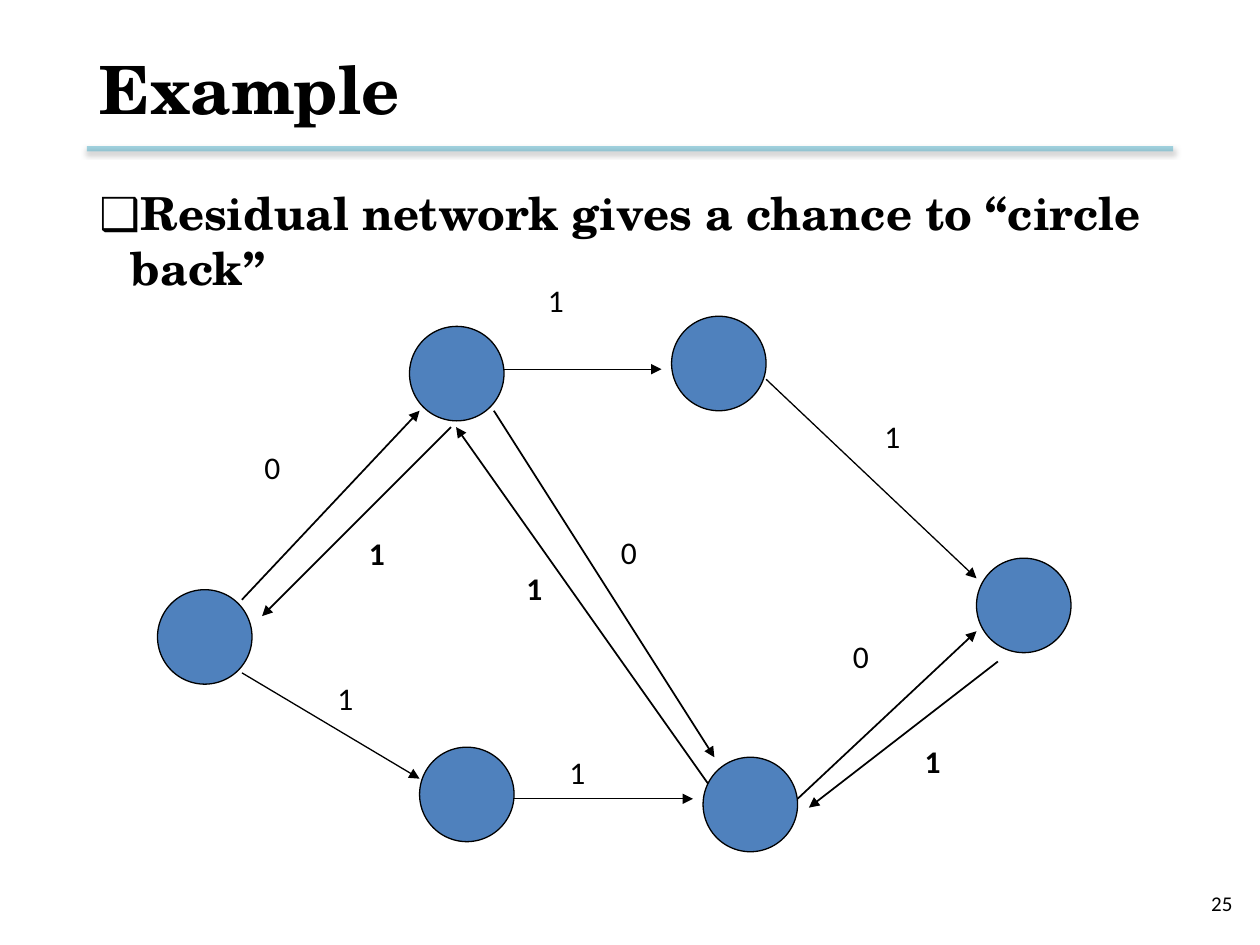
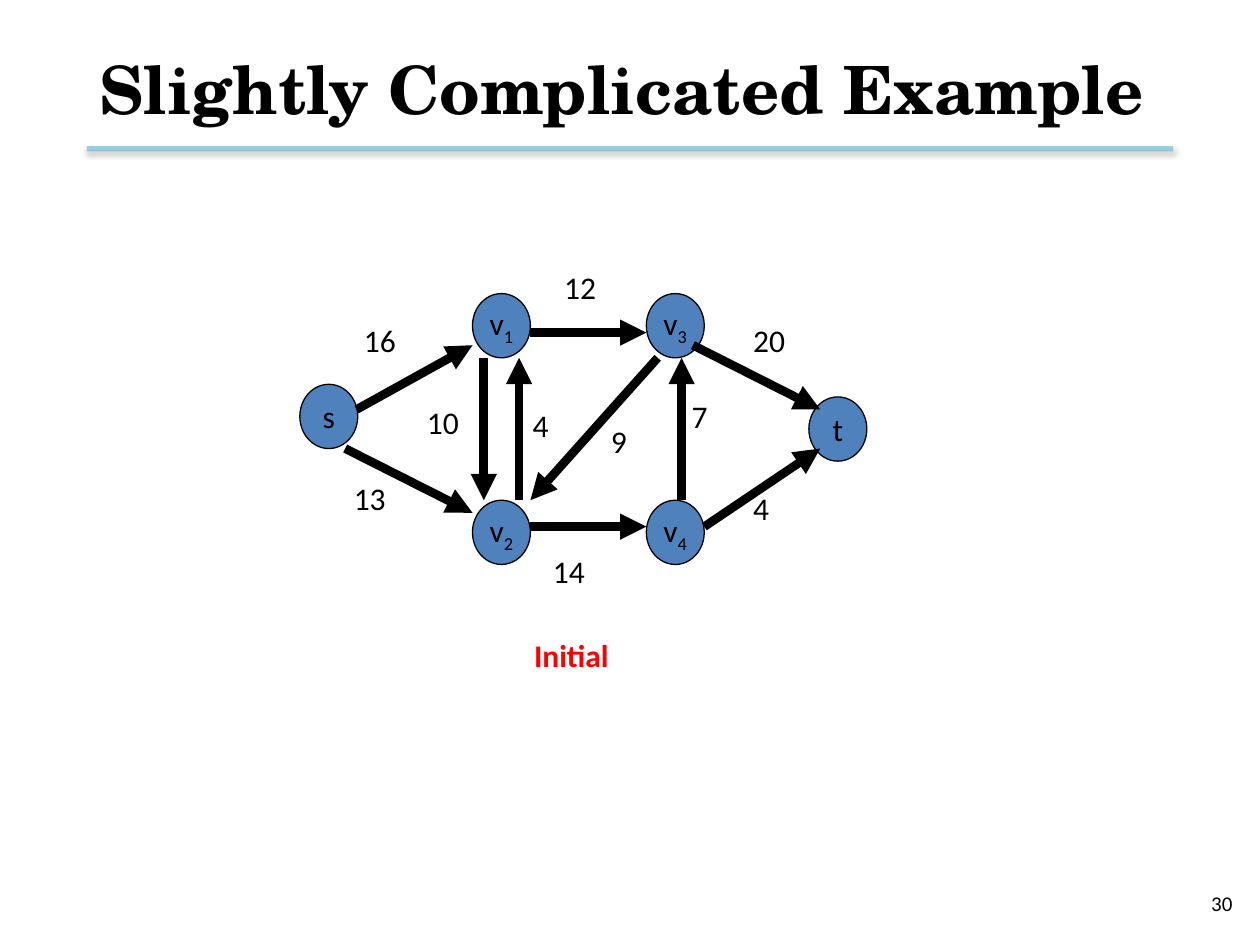
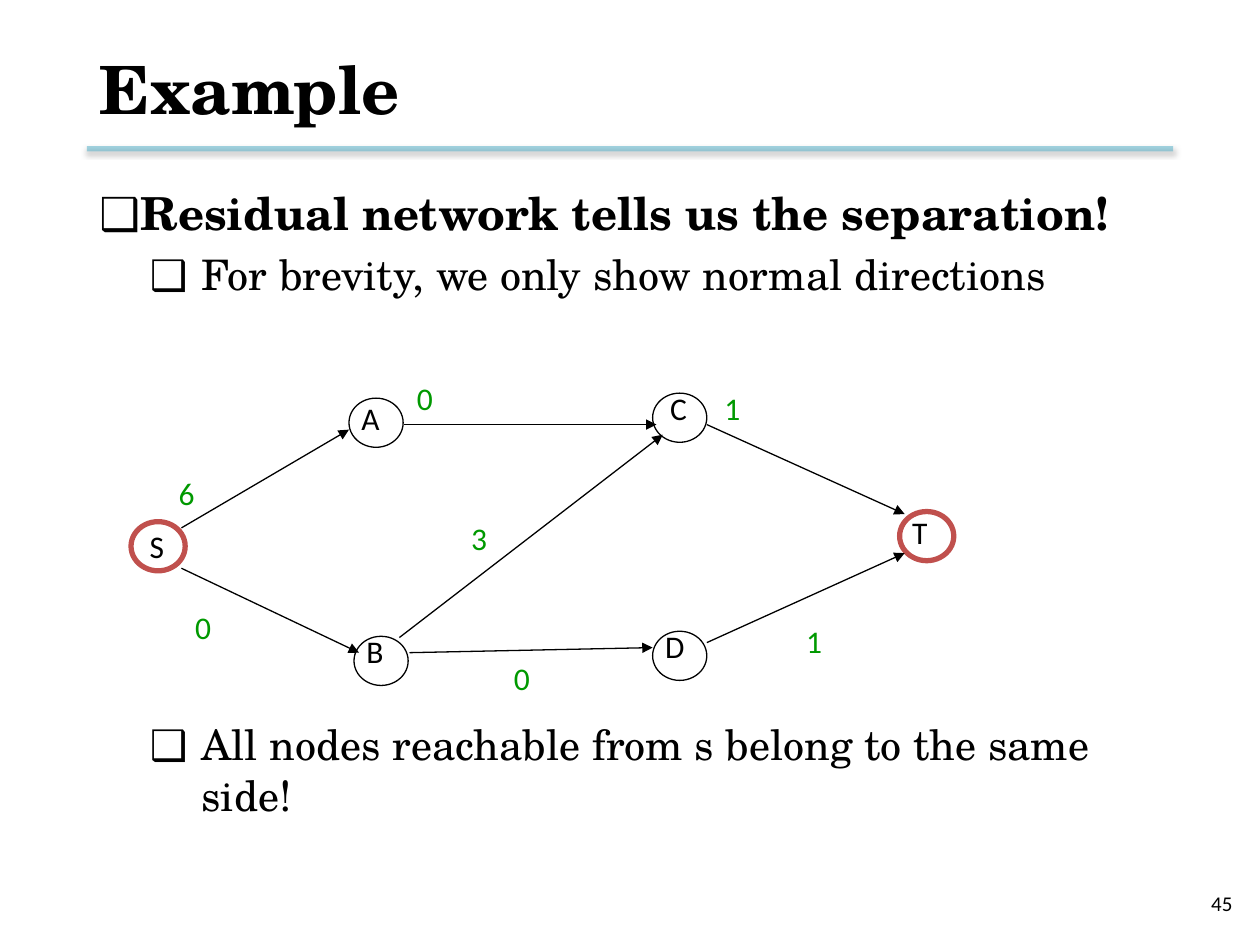
from dataclasses import dataclass

from lxml.etree import SubElement as Sub
from pptx import Presentation
from pptx.dml.color import RGBColor as Color
from pptx.enum.shapes import MSO_CONNECTOR as Link, MSO_SHAPE as Shape
from pptx.enum.text import MSO_ANCHOR as Anchor, MSO_AUTO_SIZE as Fit, PP_ALIGN as Align
from pptx.oxml.ns import qn
from pptx.util import Inches, Pt


@dataclass(frozen=True)
class Theme:
    serif: str = "TeX Gyre Schola"
    sans: str = "Calibri"
    black: str = "000000"
    white: str = "FFFFFF"
    blue: str = "4F81BD"
    teal: str = "4BACC6"
    red: str = "FF0000"
    brick: str = "C0504D"
    green: str = "009900"
    title: int = 38
    head: int = 26
    sub: int = 24
    label: int = 18
    foot: int = 12
    thin: float = 0.75
    mid: float = 1
    bold: float = 3
    thick: float = 5


T = Theme()
LEFT, WIDE = 0.69, 8.62


def place(shape, x, y, w, h):
    shape.left, shape.top, shape.width, shape.height = map(Inches, (x, y, w, h))


def add_run(para, text, size, face=T.sans, color=T.black, bold=False):
    run = para.add_run()
    run.text = text
    font = run.font
    font.name, font.size, font.bold = face, Pt(size), bold
    font.color.rgb = Color.from_string(color)
    return run


def add_box(slide, x, y, w, h):
    """Add a wrapped text box and return its text frame."""
    frame = slide.shapes.add_textbox(*map(Inches, (x, y, w, h))).text_frame
    frame.word_wrap = True
    return frame


def add_line(slide, start, end, width, color=T.black):
    """Add a straight line; return its line and effect elements."""
    link = slide.shapes.add_connector(Link.STRAIGHT, *map(Inches, start + end))
    link.line.width = Pt(width)
    link.line.color.rgb = Color.from_string(color)
    props = link._element.spPr
    return props.find(qn("a:ln")), Sub(props, qn("a:effectLst"))


def add_edge(slide, start, end, width=T.thin):
    line, _ = add_line(slide, start, end, width)
    Sub(line, qn("a:tailEnd"), type="triangle")


def add_rule(slide):
    """Add the half-clear title rule with its soft shadow."""
    line, effects = add_line(slide, (LEFT, 1.18), (LEFT + WIDE, 1.18), T.bold, T.teal)
    Sub(line.find(".//" + qn("a:srgbClr")), qn("a:alpha"), val="50000")
    shade = Sub(effects, qn("a:outerShdw"), blurRad=str(Pt(3.1)),
                dist=str(Pt(1.6)), dir="5400000", rotWithShape="0")
    tint = Sub(shade, qn("a:srgbClr"), val=T.black)
    Sub(tint, qn("a:alpha"), val="38000")


def add_slide(deck, title, number):
    slide = deck.slides.add_slide(deck.slide_layouts[5])
    add_rule(slide)
    head = slide.shapes.title
    place(head, LEFT, 0.17, WIDE, 1.06)
    frame = head.text_frame
    frame.auto_size, frame.word_wrap = Fit.NONE, True
    frame.vertical_anchor = Anchor.MIDDLE
    para = frame.paragraphs[0]
    para.alignment = Align.LEFT
    add_run(para, title, T.title, T.serif, bold=True)
    foot = add_box(slide, 7.55, 6.97, 2.33, 0.4)
    foot.vertical_anchor = Anchor.MIDDLE
    foot.paragraphs[0].alignment = Align.RIGHT
    add_run(foot.paragraphs[0], str(number), T.foot)
    return slide


def add_point(para, text, level=0, gap=0):
    """Fill a paragraph as a bullet, gap points below the one before."""
    margin, hang, size = ((0.25, -0.45, T.head), (0.81, -0.41, T.sub))[level]
    props = para._p.get_or_add_pPr()
    props.set("marL", str(Inches(margin)))
    props.set("indent", str(Inches(hang)))
    Sub(props, qn("a:buFont"), typeface=T.serif)
    Sub(props, qn("a:buChar"), char="❑")
    para.level = level
    para.space_before = Pt(gap)
    add_run(para, text, size, T.serif, bold=level == 0)


def add_node(slide, x, y, w, h, fill=T.blue, edge=T.black, width=T.thin, name=""):
    """Add a graph node; letters after the first of its name are subscript."""
    node = slide.shapes.add_shape(Shape.OVAL, *map(Inches, (x, y, w, h)))
    node.shadow.inherit = False
    node.fill.solid()
    node.fill.fore_color.rgb = Color.from_string(fill)
    node.line.color.rgb = Color.from_string(edge)
    node.line.width = Pt(width)
    if name:
        frame = node.text_frame
        frame.word_wrap = False
        frame.vertical_anchor = Anchor.MIDDLE
        para = frame.paragraphs[0]
        para.alignment = Align.CENTER
        add_run(para, name[0], T.label)
        if name[1:]:
            low = add_run(para, name[1:], T.label)
            low.font._element.set("baseline", "-25000")


def add_label(slide, text, x, y, w, h=0.4, color=T.black, bold=False):
    frame = add_box(slide, x, y, w, h)
    add_run(frame.paragraphs[0], text, T.label, color=color, bold=bold)


def draw_back(deck):
    slide = add_slide(deck, "Example", 25)
    body = add_box(slide, LEFT, 1.42, WIDE, 5.1)
    add_point(body.paragraphs[0], "Residual network gives a chance to “circle back”")
    for x, y in ((1.25, 4.68), (3.33, 5.93), (3.25, 2.59),
                 (7.75, 4.43), (5.58, 6.01), (5.33, 2.51)):
        add_node(slide, x, y, 0.75, 0.75)
    for start, end in (((1.92, 5.34), (3.33, 6.18)), ((4, 2.93), (5.25, 2.93)),
                       ((4.08, 6.34), (5.5, 6.34)), ((6.08, 3.01), (7.75, 4.59))):
        add_edge(slide, start, end)
    for start, end in (((1.92, 4.76), (3.33, 3.26)), ((3.92, 3.26), (5.67, 6.01)),
                       ((6.33, 6.34), (7.75, 5.01)), ((3.58, 3.39), (2.08, 4.89)),
                       ((5.62, 6.22), (3.62, 3.39)), ((7.92, 5.25), (6.42, 6.41))):
        add_edge(slide, start, end, T.mid)
    for x, y, w in ((2, 3.51, 0.58), (6.67, 5.01, 0.67), (4.83, 4.18, 0.67)):
        add_label(slide, "0", x, y, w)
    for x, y, w in ((2.58, 5.34, 0.42), (4.42, 5.93, 0.5),
                    (4.25, 2.18, 0.83), (6.92, 3.26, 0.67)):
        add_label(slide, "1", x, y, w, 0.5)
    for x, y in ((2.83, 4.19), (4.08, 4.47), (7.24, 5.84)):
        add_label(slide, "1", x, y, 0.58, bold=True)


def draw_start(deck):
    slide = add_slide(deck, "Slightly Complicated Example", 30)
    for name, x, y in (("s", 2.38, 3.05), ("v2", 3.75, 3.97), ("v4", 5.13, 3.97),
                       ("t", 6.42, 3.15), ("v3", 5.13, 2.33), ("v1", 3.75, 2.33)):
        add_node(slide, x, y, 0.46, 0.51, name=name)
    for start, end in (((5.59, 4.18), (6.51, 3.56)), ((2.83, 3.25), (3.75, 2.74)),
                       ((4.21, 2.64), (5.13, 2.64)), ((5.5, 2.74), (6.51, 3.25)),
                       ((2.74, 3.56), (3.75, 4.07)), ((4.21, 4.18), (5.13, 4.18)),
                       ((3.84, 2.84), (3.84, 3.97)), ((4.12, 3.97), (4.12, 2.84)),
                       ((5.41, 3.97), (5.41, 2.84)), ((5.22, 2.84), (4.21, 3.97))):
        add_edge(slide, start, end, T.thick)
    for text, x, y in (("20", 5.88, 2.5), ("7", 5.39, 3.1), ("9", 4.75, 3.3),
                       ("16", 2.79, 2.5), ("13", 2.71, 3.75), ("12", 4.38, 2.08),
                       ("10", 3.29, 3.15), ("4", 4.13, 3.17), ("4", 5.88, 3.83),
                       ("14", 4.29, 4.33)):
        add_label(slide, text, x, y, 0.53 if text[1:] else 0.37, 0.5)
    add_label(slide, "Initial", 4.14, 5, 0.94, color=T.red, bold=True)


def draw_split(deck):
    slide = add_slide(deck, "Example", 45)
    body = add_box(slide, LEFT, 1.42, WIDE, 5.85)
    add_point(body.paragraphs[0], "Residual network tells us the separation!")
    add_point(body.add_paragraph(), "For brevity, we only show normal directions", 1, 5)
    add_point(body.add_paragraph(),
              "All nodes reachable from s belong to the same side!", 1, 240)
    for text, x, y in (("6", 1.32, 3.71), ("0", 3.21, 2.96), ("1", 5.65, 3.04),
                       ("1", 6.3, 4.89), ("3", 3.64, 4.07), ("0", 3.98, 5.18),
                       ("0", 1.45, 4.78)):
        add_label(slide, text, x, y, 0.39, color=T.green)
    for x, y in ((5.18, 5.01), (5.18, 3.12), (2.81, 5.05), (2.77, 3.16)):
        add_node(slide, x, y, 0.43, 0.39, T.white)
    for x, y in ((7.14, 4.06), (1.04, 4.14)):
        add_node(slide, x, y, 0.43, 0.39, T.white, T.brick, T.bold)
    for name, x, y in (("S", 1.09, 4.13), ("A", 2.77, 3.12), ("D", 5.18, 4.93),
                       ("B", 2.81, 4.97), ("C", 5.22, 3.04), ("T", 7.14, 4.02)):
        add_label(slide, name, x, y, 0.43, 0.5)
    for start, end in (((1.44, 4.19), (2.77, 3.41)), ((1.44, 4.51), (2.85, 5.18)),
                       ((3.21, 3.37), (5.21, 3.37)), ((3.25, 5.18), (5.18, 5.14)),
                       ((5.61, 5.1), (7.18, 4.39)), ((5.61, 3.37), (7.18, 4.08)),
                       ((3.17, 5.06), (5.26, 3.45))):
        add_edge(slide, start, end)


def main():
    deck = Presentation()
    deck.slide_width, deck.slide_height = Inches(10), Inches(7.5)
    draw_back(deck)
    draw_start(deck)
    draw_split(deck)
    deck.save("out.pptx")


if __name__ == "__main__":
    main()
